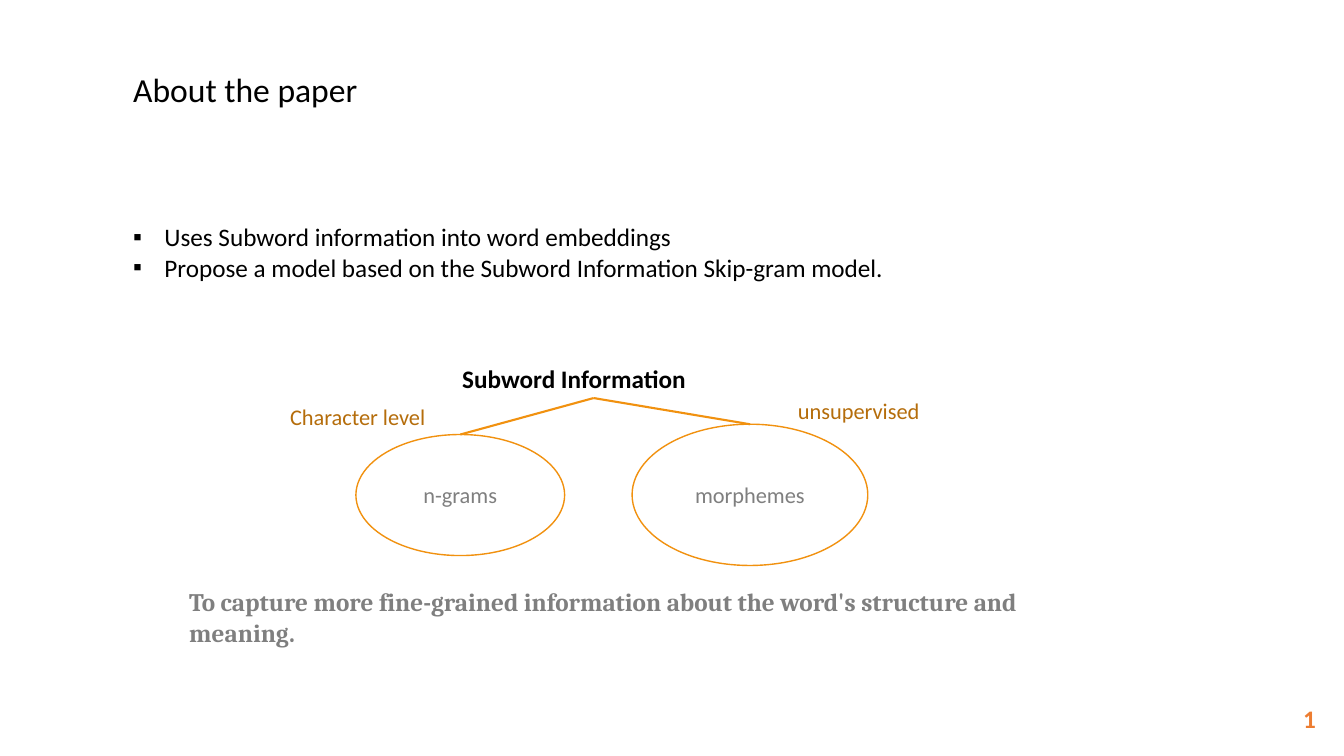
"""Build the slide that introduces the paper on subword information."""
from dataclasses import dataclass

from lxml import etree
from pptx import Presentation
from pptx import util as u
from pptx.dml.color import RGBColor
from pptx.enum import shapes, text
from pptx.oxml import ns


@dataclass(frozen=True)
class Theme:
    """Hold the colours, fonts and type sizes of the slide."""
    black: str = "000000"
    white: str = "FFFFFF"
    grey: str = "7F7F7F"
    line: str = "F1910F"
    label: str = "B56D0B"
    number: str = "ED7D31"
    sans: str = "Calibri"
    serif: str = "Cambria"
    title: int = 24
    body: int = 18
    small: int = 16


THEME = Theme()


def rgb(colour):
    """Turn a hex string into a colour."""
    return RGBColor.from_string(colour)


def place(box, left, top, width, height):
    """Move and size a box, in centimetres."""
    box.left, box.top = u.Cm(left), u.Cm(top)
    box.width, box.height = u.Cm(width), u.Cm(height)


def write(box, words, size, colour, bold=False, font=THEME.sans,
          align=text.PP_ALIGN.LEFT, anchor=text.MSO_ANCHOR.TOP):
    """Fill a box with text and format its runs."""
    frame = box.text_frame
    frame.text = words
    frame.word_wrap = True
    frame.auto_size = text.MSO_AUTO_SIZE.NONE
    frame.vertical_anchor = anchor
    for para in frame.paragraphs:
        para.alignment = align
        para.space_before = u.Pt(0)
        for span in para.runs:
            span.font.name, span.font.size = font, u.Pt(size)
            span.font.bold = bold
            span.font.color.rgb = rgb(colour)


def add_label(page, area, words, size, colour, **style):
    """Add a text box."""
    box = page.shapes.add_textbox(0, 0, 0, 0)
    place(box, *area)
    write(box, words, size, colour, **style)
    return box


def add_bullets(box, indent=0.79):
    """Give each paragraph a square bullet and a hanging indent."""
    for para in box.text_frame.paragraphs:
        props = para._p.get_or_add_pPr()
        props.set("marL", str(u.Cm(indent)))
        props.set("indent", str(-u.Cm(indent)))
        etree.SubElement(props, ns.qn("a:buChar"), char="▪")


def add_oval(page, area, words):
    """Add an outlined oval with centred text."""
    oval = page.shapes.add_shape(shapes.MSO_SHAPE.OVAL, 0, 0, 0, 0)
    place(oval, *area)
    oval.shadow.inherit = False
    oval.fill.solid()
    oval.fill.fore_color.rgb = rgb(THEME.white)
    oval.line.color.rgb = rgb(THEME.line)
    oval.line.width = u.Pt(1)
    write(oval, words, THEME.small, THEME.grey,
          align=text.PP_ALIGN.CENTER, anchor=text.MSO_ANCHOR.MIDDLE)
    return oval


def add_branch(page, left, top, oval):
    """Draw a line from a point to the top of an oval."""
    branch = page.shapes.add_connector(
        shapes.MSO_CONNECTOR.STRAIGHT, u.Cm(left), u.Cm(top),
        oval.left + oval.width // 2, oval.top)
    branch.line.color.rgb = rgb(THEME.line)
    branch.line.width = u.Pt(1.5)
    etree.SubElement(branch._element.spPr, ns.qn("a:effectLst"))


def make_slide_number(box):
    """Turn the first run of a box into a slide number field."""
    span = box.text_frame.paragraphs[0].runs[0]._r
    span.tag = ns.qn("a:fld")
    span.set("id", "{B6F15528-21DE-4FAA-801E-634DDDAF4B2B}")
    span.set("type", "slidenum")


def main():
    """Build and save the deck."""
    deck = Presentation()
    deck.slide_width, deck.slide_height = u.Cm(33.87), u.Cm(19.05)
    page = deck.slides.add_slide(deck.slide_layouts[1])

    title, body = page.placeholders
    place(title, 3.1, 1.6, 13.23, 1.27)
    write(title, "About the paper", THEME.title, THEME.black)
    place(body, 3.1, 5.46, 23.7, 2.57)
    write(body, "Uses Subword information into word embeddings\n"
          "Propose a model based on the Subword Information Skip-gram model.",
          THEME.body, THEME.black)
    add_bullets(body)

    add_label(page, (11.4, 9.02, 7.09, 1.78), "Subword Information",
              THEME.body, THEME.black, bold=True)
    branches = [
        ("n-grams", (8.97, 10.95, 5.26, 3.05),
         "Character level", (7.06, 10.03, 5.94, 0.94)),
        ("morphemes", (15.93, 10.69, 5.94, 3.56),
         "unsupervised", (19.86, 9.88, 5.94, 0.94)),
    ]
    for unit, oval_area, note, note_area in branches:
        oval = add_oval(page, oval_area, unit)
        add_label(page, note_area, note, THEME.small, THEME.label)
        add_branch(page, 14.96, 10.03, oval)

    add_label(page, (4.52, 14.66, 22.81, 1.78),
              "To capture more fine-grained information about the word's "
              "structure and meaning.",
              THEME.body, THEME.grey, bold=True, font=THEME.serif)
    number = add_label(page, (32.59, 17.6, 1.27, 1.02), "1",
                       THEME.body, THEME.number, bold=True)
    make_slide_number(number)
    deck.save("out.pptx")


if __name__ == "__main__":
    main()
